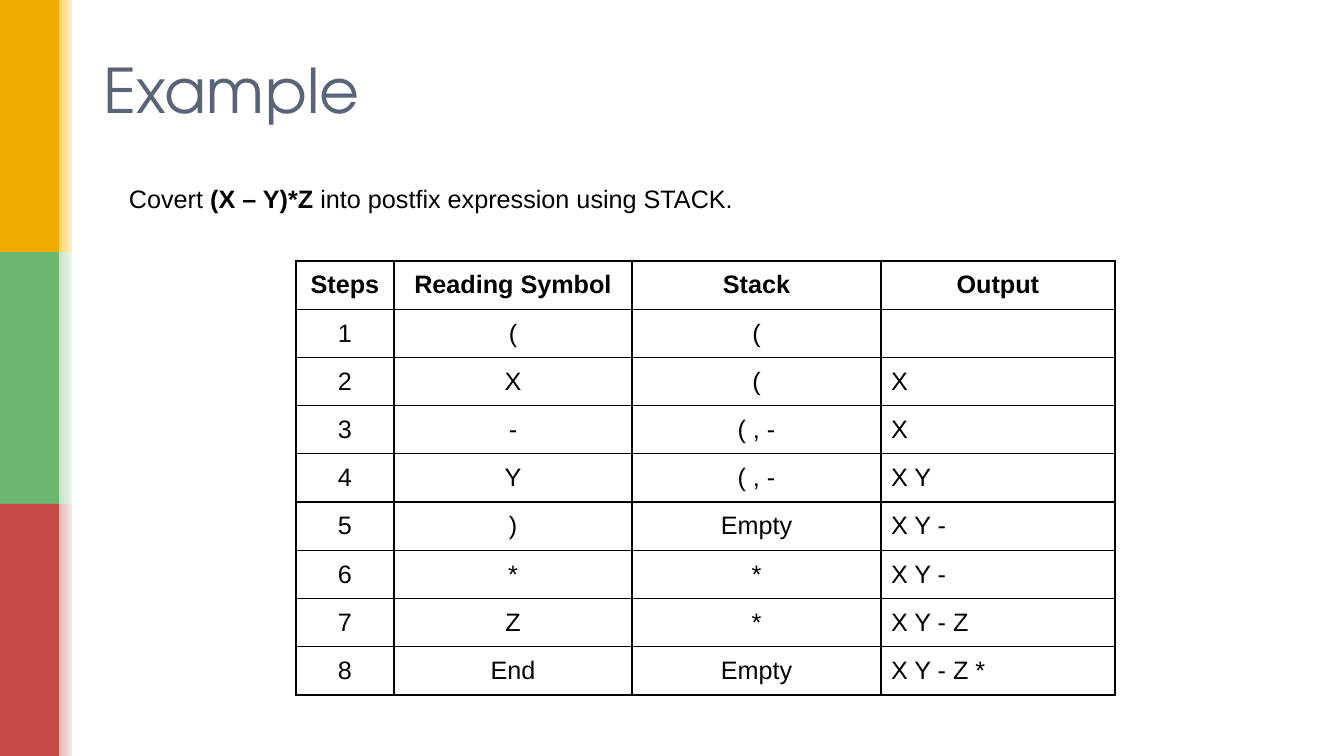
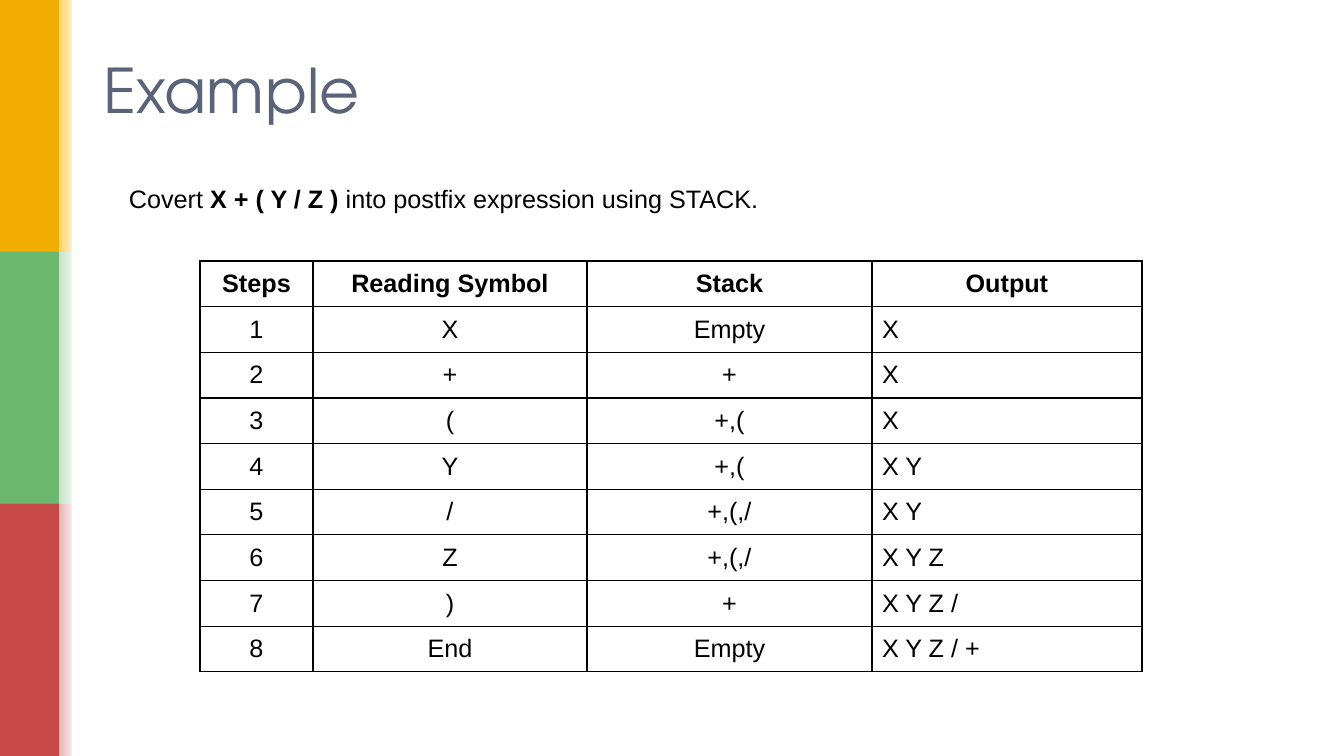
from lxml import etree
from pptx import Presentation
from pptx import util as u
from pptx.dml.color import RGBColor
from pptx.enum import shapes, text
from pptx.oxml.ns import qn

COLORS = {
    "yellow": "F0AD00", "yellow_fade": "FFD25D",
    "green": "6BB76D", "green_fade": "C4E2C5",
    "red": "C64847", "red_fade": "E8B6B5",
    "white": "FFFFFF", "title": "5A6378", "black": "000000",
}
BODY_FONT = "Arial"
TITLE_FONT = "TeX Gyre Adventor"
PX = 914400 / 100.8
WIDTH, HEIGHT = 1344, 756
BAND_HEIGHT = HEIGHT // 3


def px(*lengths):
    return [u.Emu(round(length * PX)) for length in lengths]


def style(font, face, size, color, bold=False):
    font.name, font.size, font.bold = face, u.Pt(size), bold
    font.color.rgb = RGBColor.from_string(COLORS[color])


HEADER = ("Steps", "Reading Symbol", "Stack", "Output")
EXAMPLES = [
    {
        "expression": "(X – Y)*Z ", "task_width": 630,
        "left": 296, "columns": (98, 238, 249, 234), "height": 434,
        "steps": [
            ("(", "(", ""), ("X", "(", "X"), ("-", "( , -", "X"),
            ("Y", "( , -", "X Y"), (")", "Empty", "X Y -"),
            ("*", "*", "X Y -"), ("Z", "*", "X Y - Z"),
            ("End", "Empty", "X Y - Z *"),
        ],
    },
    {
        "expression": "X + ( Y / Z ) ", "task_width": 656,
        "left": 200, "columns": (113, 274, 285, 270), "height": 411,
        "steps": [
            ("X", "Empty", "X"), ("+", "+", "X"), ("(", "+,(", "X"),
            ("Y", "+,(", "X Y"), ("/", "+,(,/", "X Y"),
            ("Z", "+,(,/", "X Y Z"), (")", "+", "X Y Z /"),
            ("End", "Empty", "X Y Z / +"),
        ],
    },
]

prs = Presentation()
prs.slide_width, prs.slide_height = px(WIDTH, HEIGHT)
layout = prs.slide_layouts[5]
slides = [prs.slides.add_slide(layout) for _ in EXAMPLES]

# Side bands: solid bars, their fades, and a white stripe over the fades
bars, fades = [], []
for i, name in enumerate(("yellow", "green", "red")):
    top = i * BAND_HEIGHT
    bars.append((0, top, 62, BAND_HEIGHT, name))
    fades.append((59, top, 20, BAND_HEIGHT, name + "_fade"))
stripe = (72, 0, 5, HEIGHT, "white")

for i, (*box, color) in enumerate(bars + fades + [stripe]):
    band = slides[0].shapes.add_shape(shapes.MSO_SHAPE.RECTANGLE, *px(*box))
    band.shadow.inherit = False
    band.line.fill.background()
    if color.endswith("_fade"):
        band.fill.gradient()
        band.fill.gradient_angle = 0
        for stop, shade, position in zip(band.fill.gradient_stops, (color, "white"), (0, 1)):
            stop.color.rgb = RGBColor.from_string(COLORS[shade])
            stop.position = position
    else:
        band.fill.solid()
        band.fill.fore_color.rgb = RGBColor.from_string(COLORS[color])
    # The layout holds the bands, so every slide shows them
    band.element.nvSpPr.cNvPr.set("id", str(100 + i))
    layout.shapes.element.insert(2 + i, band.element)

for slide, example in zip(slides, EXAMPLES):
    # Title
    title = slide.shapes.title
    title.left, title.top, title.width, title.height = px(93, 40, 1159, 97)
    title.text_frame.text = "Example"
    title.text_frame.auto_size = text.MSO_AUTO_SIZE.NONE
    title.text_frame.vertical_anchor = text.MSO_ANCHOR.MIDDLE
    heading = title.text_frame.paragraphs[0]
    heading.alignment = text.PP_ALIGN.LEFT
    style(heading.font, TITLE_FONT, 44, "title")

    # Table of conversion steps
    rows = [HEADER] + [(str(n), *step) for n, step in enumerate(example["steps"], 1)]
    columns = example["columns"]
    steps = slide.shapes.add_table(
        len(rows), len(columns),
        *px(example["left"], 261, sum(columns), example["height"])).table
    steps.first_row = steps.horz_banding = False
    for column, width in zip(steps.columns, px(*columns)):
        column.width = width
    for r, row in enumerate(rows):
        for c, value in enumerate(row):
            cell = steps.cell(r, c)
            cell.text = value
            cell.vertical_anchor = text.MSO_ANCHOR.MIDDLE
            entry = cell.text_frame.paragraphs[0]
            is_output = r > 0 and c == len(row) - 1
            entry.alignment = text.PP_ALIGN.LEFT if is_output else text.PP_ALIGN.CENTER
            style(entry.font, BODY_FONT, 18, "black", bold=r == 0)
            properties = cell._tc.get_or_add_tcPr()
            for side in ("a:lnL", "a:lnR", "a:lnT", "a:lnB"):
                border = etree.SubElement(properties, qn(side), w=str(u.Pt(1)))
                ink = etree.SubElement(border, qn("a:solidFill"))
                etree.SubElement(ink, qn("a:srgbClr"), val=COLORS["black"])
            cell.fill.background()

    # Task statement
    task = slide.shapes.add_textbox(*px(119, 178, example["task_width"], 40)).text_frame
    task.word_wrap = False
    task.auto_size = text.MSO_AUTO_SIZE.SHAPE_TO_FIT_TEXT
    sentence = task.paragraphs[0]
    style(sentence.font, BODY_FONT, 18, "black")
    for part in ("Covert ", example["expression"], "into postfix expression using STACK."):
        run = sentence.add_run()
        run.text = part
        if part == example["expression"]:
            run.font.bold = True

prs.save("out.pptx")
